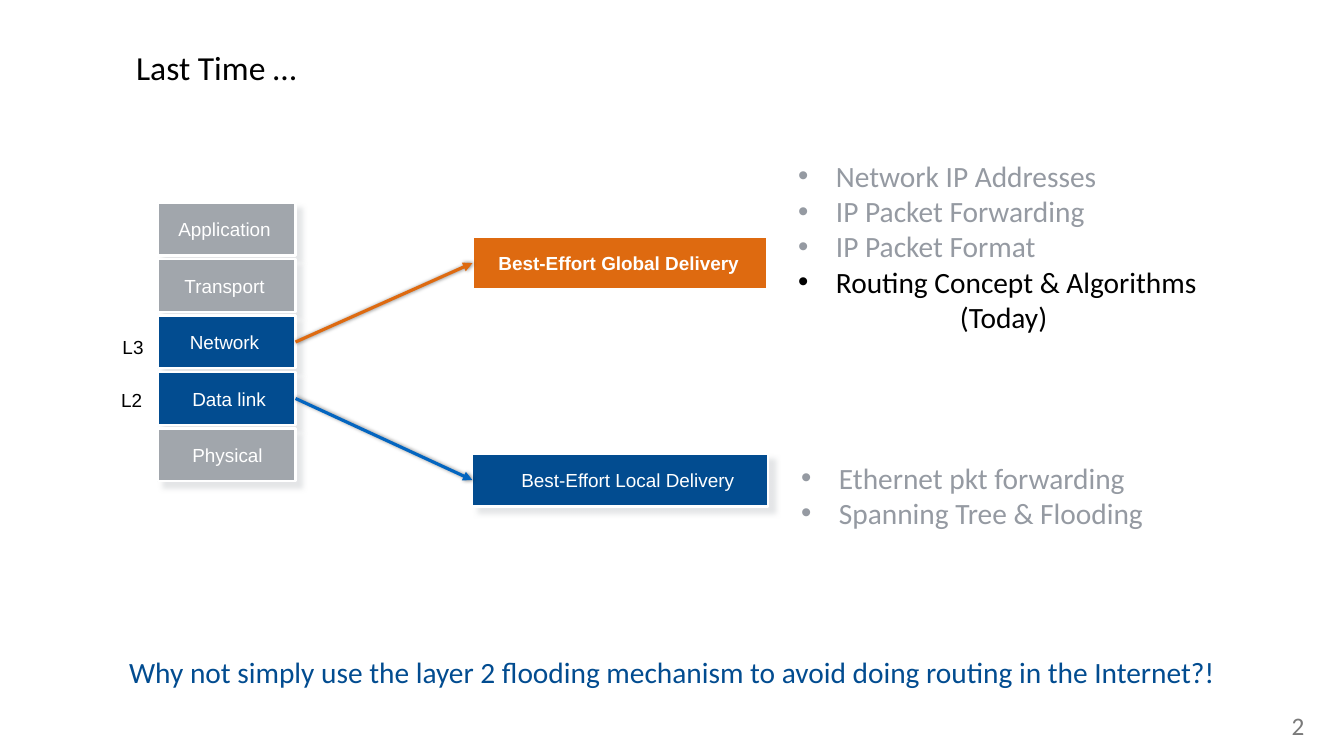
from lxml.etree import SubElement
from pptx import Presentation
from pptx.dml.color import RGBColor
from pptx.enum.shapes import MSO_CONNECTOR, MSO_SHAPE
from pptx.enum.text import MSO_ANCHOR as Anchor, PP_ALIGN as Align
from pptx.oxml import parse_xml
from pptx.oxml.ns import nsdecls, qn
from pptx.util import Inches, Pt

GREY, BLUE, ORANGE, WHITE, BLACK = "A1A6AC", "024C90", "DE6A10", "FFFFFF", "000000"
FADED = "959AA2"


def write(shape, lines, size, font, align=Align.LEFT, anchor=Anchor.TOP,
          insets=(0.1, 0.05, 0.1, 0.05), wrap=True, bold=False):
    """Fill a shape with paragraphs given as (text, colour) pairs."""
    frame = shape.text_frame
    margins = zip(("left", "top", "right", "bottom"), insets)
    values = {f"margin_{side}": Inches(inset) for side, inset in margins}
    values.update(word_wrap=wrap, vertical_anchor=anchor)
    for name, value in values.items():
        setattr(frame, name, value)
    for index, (text, colour) in enumerate(lines):
        paragraph = frame.paragraphs[0] if index == 0 else frame.add_paragraph()
        paragraph.alignment = align
        run = paragraph.add_run()
        run.text = text
        for name, value in {"size": Pt(size), "name": font, "bold": bold}.items():
            setattr(run.font, name, value)
        run.font.color.rgb = RGBColor.from_string(colour)
    return frame


def add_shadow(shape, colour, alpha, blur, distance, angle):
    properties = shape._element.spPr
    for old in properties.findall(qn("a:effectLst")):
        properties.remove(old)
    properties.append(parse_xml(
        f'<a:effectLst {nsdecls("a")}><a:outerShdw blurRad="{Pt(blur)}" dist="{Pt(distance)}" '
        f'dir="{angle * 60000}" rotWithShape="0"><a:srgbClr val="{colour}">'
        f'<a:alpha val="{alpha * 1000}"/></a:srgbClr></a:outerShdw></a:effectLst>'))


presentation = Presentation()
presentation.slide_width, presentation.slide_height = Inches(17.78), Inches(10)
slide = presentation.slides.add_slide(presentation.slide_layouts[5])
shapes = slide.shapes

title = shapes.title
title.left, title.top, title.width, title.height = map(Inches, (1.74, 0, 14.31, 1.78))
write(title, [("Last Time …", BLACK)], 32, "Calibri", anchor=Anchor.MIDDLE, insets=(0.06,) * 4)

# Protocol layers and delivery boxes: text, left, top, width, fill, text shift
layers = [("Application", GREY, -0.03), ("Transport", GREY, -0.03), ("Network", BLUE, -0.03),
          ("Data link", BLUE, 0.03), ("Physical", GREY, 0.01)]
box_rows = [(text, 2.09, 2.68 + 0.747 * index, 1.82, fill, shift)
            for index, (text, fill, shift) in enumerate(layers)]
box_rows += [("Best-Effort Global Delivery", 6.25, 3.13, 3.91, ORANGE, -0.02),
             ("Best-Effort Local Delivery", 6.25, 6, 3.91, BLUE, 0.1)]
boxes = {}
for text, left, top, width, fill, shift in box_rows:
    box = shapes.add_shape(MSO_SHAPE.RECTANGLE, Inches(left), Inches(top), Inches(width), Inches(0.7))
    highlighted = fill == ORANGE
    box.fill.solid()
    box.fill.fore_color.rgb = RGBColor.from_string(fill)
    box.line.color.rgb = RGBColor.from_string(WHITE)
    box.line.width = Pt(3 if highlighted else 2)
    box.shadow.inherit = False
    if not highlighted:
        add_shadow(box, "DCDEE0", 75, 5, 8, 45)
    write(box, [(text, WHITE)], 18, "Arial", Align.CENTER, Anchor.MIDDLE,
          (0.1 + shift, 0.04, 0.1 - shift, 0.04), wrap=False, bold=highlighted)
    boxes[text] = box

for layer, delivery, colour in [("Data link", "Best-Effort Local Delivery", "0365C0"),
                                ("Network", "Best-Effort Global Delivery", ORANGE)]:
    arrow = shapes.add_connector(MSO_CONNECTOR.STRAIGHT, 0, 0, 0, 0)
    arrow.begin_connect(boxes[layer], 3)
    arrow.end_connect(boxes[delivery], 1)
    arrow.line.color.rgb = RGBColor.from_string(colour)
    arrow.line.width = Pt(3)
    SubElement(arrow.line._get_or_add_ln(), qn("a:tailEnd"), type="triangle")
    add_shadow(arrow, "000000", 50, 4, 1, 0)

for text, left, top in [("L3", 1.56, 4.45), ("L2", 1.54, 5.15)]:
    label = shapes.add_textbox(Inches(left), Inches(top), Inches(0.44), Inches(0.31))
    frame = write(label, [(text, BLACK)], 18, "Arial", Align.CENTER,
                  insets=(0.03, 0.03, 0.07, 0.03), wrap=False)
    frame.paragraphs[0].line_spacing = 0.85

# Topic lists
global_topics = [("Network IP Addresses", FADED), ("IP Packet Forwarding", FADED),
                 ("IP Packet Format", FADED), ("Routing Concept & Algorithms", BLACK),
                 ("(Today)", BLACK)]
local_topics = [("Ethernet pkt forwarding", FADED), ("Spanning Tree & Flooding", FADED)]
for topics, top, width, height, inset in [(global_topics, 2.03, 5.54, 2.94, 0.06),
                                          (local_topics, 6.02, 5.18, 1.04, 0.1)]:
    topic_list = shapes.add_textbox(Inches(10.5), Inches(top), Inches(width), Inches(height))
    frame = write(topic_list, topics, 28, "Calibri", insets=(inset, 0.06, inset, 0.06))
    for paragraph in frame.paragraphs:
        properties = paragraph._p.get_or_add_pPr()
        if paragraph.text == "(Today)":
            properties.set("marL", str(Inches(2.14)))
            continue
        properties.set("marL", str(Inches(0.5)))
        properties.set("indent", str(Inches(-0.5)))
        SubElement(properties, qn("a:buFont"), typeface="Arial")
        SubElement(properties, qn("a:buChar"), char="•")

question = shapes.add_textbox(Inches(1.27), Inches(8.6), Inches(15.23), Inches(0.57))
write(question, [("Why not simply use the layer 2 flooding mechanism to avoid doing routing "
                  "in the Internet?!", BLUE)], 28, "Calibri", Align.CENTER)

page_number = shapes.add_textbox(Inches(16.94), Inches(9.39), Inches(0.46), Inches(0.5))
write(page_number, [("2", "7A7A7A")], 24, "Calibri", Align.CENTER, insets=(0,) * 4, wrap=False)

presentation.save("out.pptx")
